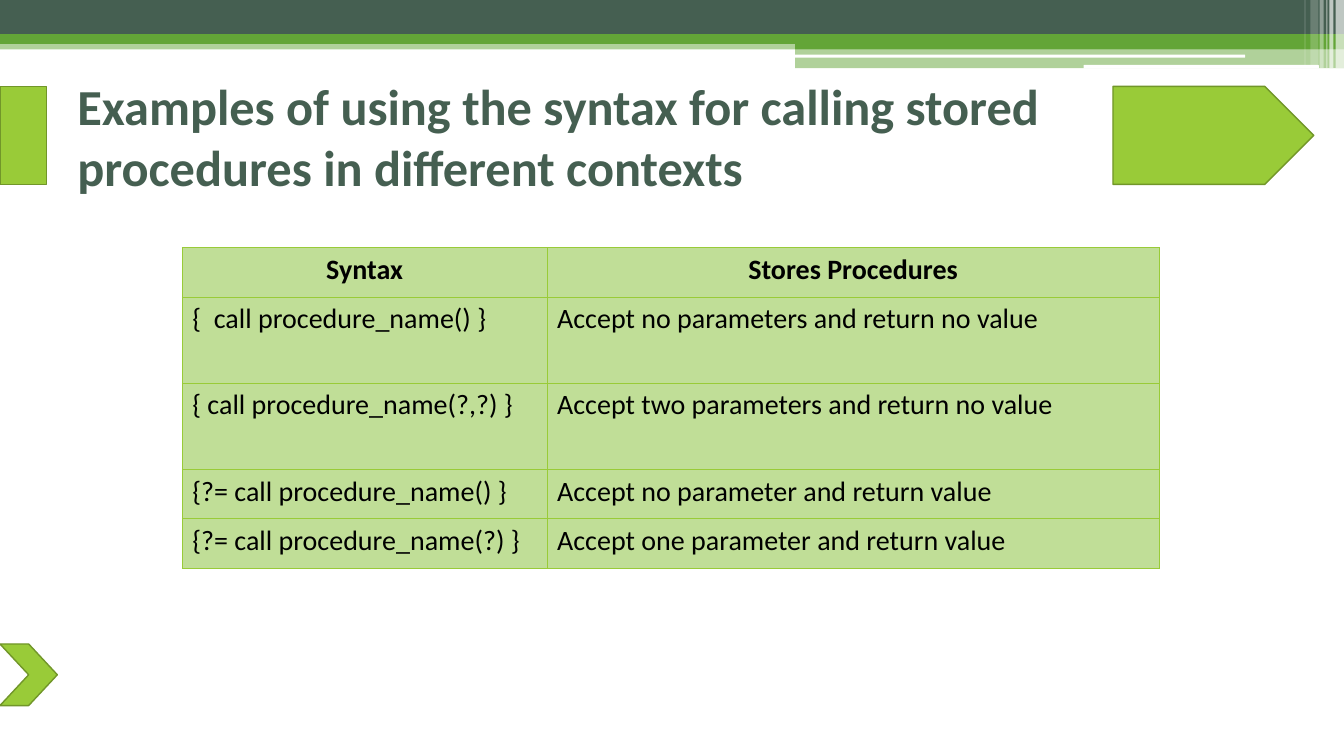
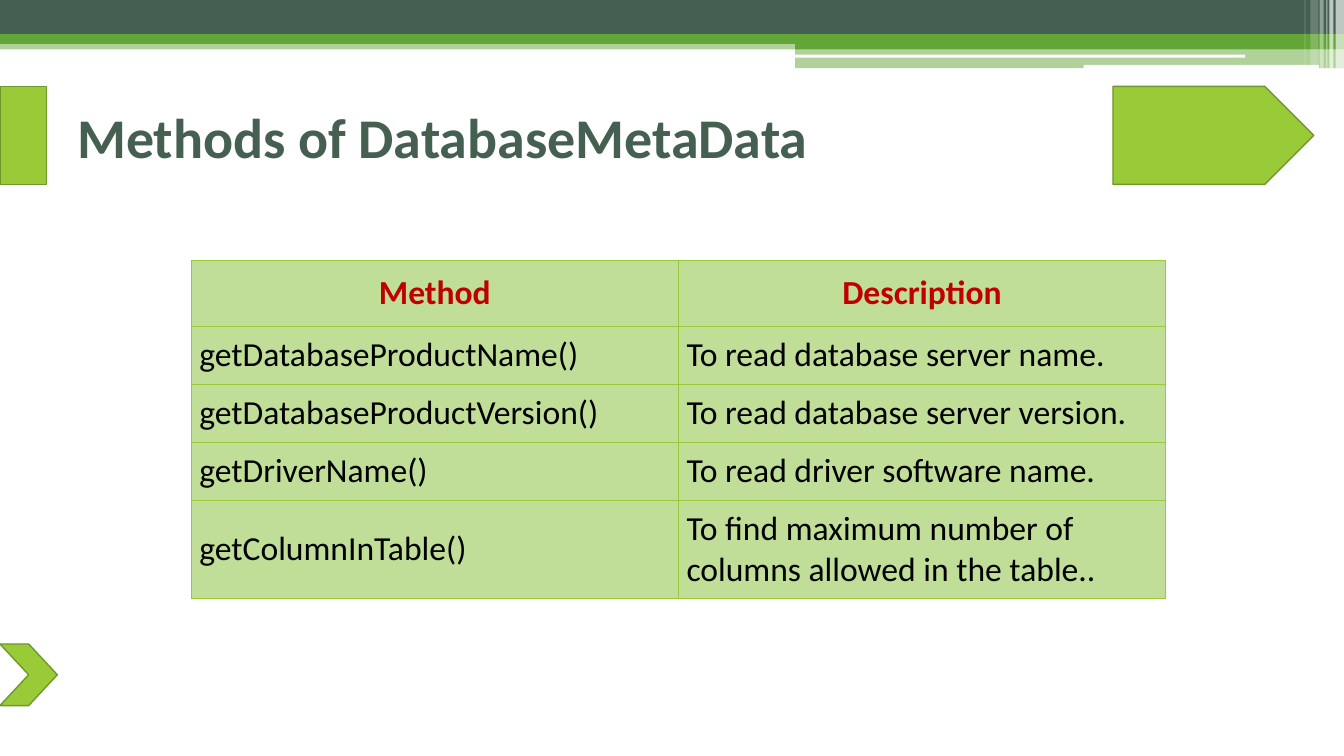
from dataclasses import dataclass

from lxml.etree import SubElement
from pptx import Presentation
from pptx.dml.color import RGBColor
from pptx.enum.shapes import MSO_SHAPE as Preset
from pptx.enum.text import MSO_ANCHOR as Anchor, MSO_AUTO_SIZE as AutoSize, PP_ALIGN as Align
from pptx.oxml.ns import qn
from pptx.util import Pt


@dataclass(frozen=True)
class Theme:
    font: str = "Calibri"
    dark: str = "455F51"
    green: str = "63A537"
    lime: str = "99CB38"
    lime_edge: str = "719629"
    cell: str = "C0DE97"
    white: str = "FFFFFF"
    ink: str = "000000"
    red: str = "C00000"
    edge_width: float = 1
    rule_width: float = 0.5
    title_box: tuple = (48, 55, 864, 84)


THEME = Theme()
PAGE_WIDTH, PAGE_HEIGHT = 960, 540

# Header bands: preset, box, colour, opacity in percent
BANDS = [
    (Preset.RECTANGLE, (0, 28.8, 960, 6.5), THEME.green, 50),
    (Preset.RECTANGLE, (0, 0, 960, 24.4), THEME.dark, 100),
    (Preset.RECTANGLE, (0, 24.4, 960, 7), THEME.green, 100),
    (Preset.RECTANGLE, (568, 28, 392, 7.3), THEME.green, 100),
    (Preset.RECTANGLE, (568, 35.3, 392, 13.4), THEME.green, 50),
    (Preset.ROUNDED_RECTANGLE, (567.4, 39, 322, 2.2), THEME.white, 100),
    (Preset.ROUNDED_RECTANGLE, (774, 46.4, 168, 2.7), THEME.white, 100),
]

# Pale stripes at the right end of the header: left, width, height, opacity
STRIPES = [
    (954, 6, 48.7, 65), (949.6, 2.8, 48.7, 65), (947.4, 0.7, 48.7, 60),
    (942.6, 2.8, 48.7, 40), (936, 5.8, 46.4, 20), (931.8, 0.7, 46.4, 30),
]

# Lime markers around the title and at the foot
MARKERS = [
    (Preset.RECTANGLE, (0, 61.7, 33.3, 70)),
    (Preset.PENTAGON, (795, 61.7, 143.5, 70)),
    (Preset.CHEVRON, (0, 460, 41, 44)),
]

PAGES = [
    {
        "title": "Examples of using the syntax for calling stored procedures in different contexts",
        "title_size": 36,
        "origin": (130.2, 176.8),
        "columns": (260.6, 437.2),
        "heights": (35.3, 61.6, 61.6, 35.3, 35.3),
        "size": 20,
        "header_color": THEME.ink,
        "anchor": Anchor.TOP,
        "side_inset": 7.2,
        "header_inset": 3.6,
        "body_inset": 3.6,
        "rows": [
            ("Syntax", "Stores Procedures"),
            ("{  call procedure_name() }", "Accept no parameters and return no value"),
            ("{ call procedure_name(?,?) }", "Accept two parameters and return no value"),
            ("{?= call procedure_name() }", "Accept no parameter and return value"),
            ("{?= call procedure_name(?) }", "Accept one parameter and return value"),
        ],
    },
    {
        "title": "Methods of DatabaseMetaData",
        "title_size": 40,
        "origin": (136.6, 186.2),
        "columns": (348, 348),
        "heights": (46.8, 41.4, 41.4, 41.4, 70),
        "size": 24,
        "header_color": THEME.red,
        "anchor": Anchor.MIDDLE,
        "side_inset": 5.8,
        "header_inset": 8.6,
        "body_inset": 5.8,
        "rows": [
            ("Method", "Description"),
            ("getDatabaseProductName()", "To read database server name."),
            ("getDatabaseProductVersion()", "To read database server version."),
            ("getDriverName()", "To read driver software name."),
            ("getColumnInTable()", "To find maximum number of columns allowed in the table.."),
        ],
    },
]


def apply_format(target, values):
    for name, value in values.items():
        setattr(target, name, value)


def place(shape, box):
    names = ("left", "top", "width", "height")
    apply_format(shape, dict(zip(names, map(Pt, box))))


def write(frame, text, size, color, bold, align):
    para = frame.paragraphs[0]
    para.alignment = align
    span = para.add_run()
    span.text = text
    apply_format(span.font, {"name": THEME.font, "size": Pt(size), "bold": bold})
    span.font.color.rgb = RGBColor.from_string(color)


def add_block(page, preset, box, color, opacity=100, edge=None):
    shape = page.shapes.add_shape(preset, *map(Pt, box))
    shape.shadow.inherit = False
    shape.fill.solid()
    shape.fill.fore_color.rgb = RGBColor.from_string(color)
    if opacity < 100:
        color_node = shape.element.spPr.find(qn("a:solidFill"))[0]
        SubElement(color_node, qn("a:alpha"), val=str(opacity * 1000))
    if edge:
        shape.line.color.rgb = RGBColor.from_string(edge)
        shape.line.width = Pt(THEME.edge_width)
    else:
        shape.line.fill.background()
    return shape


def build_layout(layout, page):
    """Draw the shared decoration on a page, then hand it to the layout."""
    shapes = [add_block(page, *band) for band in BANDS]
    shapes += [add_block(page, Preset.RECTANGLE, (left, 0, width, height), THEME.white, opacity)
               for left, width, height, opacity in STRIPES]
    shapes += [add_block(page, preset, box, THEME.lime, edge=THEME.lime_edge)
               for preset, box in MARKERS]
    for number, shape in enumerate(shapes, start=100):
        shape.element.nvSpPr.cNvPr.set("id", str(number))
        layout.shapes.element.append(shape.element)


def add_title(page, box, text, size):
    title = page.shapes.title
    place(title, box)
    apply_format(title.text_frame, {
        "word_wrap": True, "auto_size": AutoSize.NONE, "vertical_anchor": Anchor.MIDDLE})
    write(title.text_frame, text, size, THEME.dark, True, Align.LEFT)


def add_borders(cell):
    properties = cell._tc.get_or_add_tcPr()
    for side in ("lnL", "lnR", "lnT", "lnB"):
        line = SubElement(properties, qn(f"a:{side}"), w=str(Pt(THEME.rule_width)))
        fill = SubElement(line, qn("a:solidFill"))
        SubElement(fill, qn("a:srgbClr"), val=THEME.lime)


def format_cell(cell, text, content, is_header):
    side = Pt(content["side_inset"])
    inset = Pt(content["header_inset" if is_header else "body_inset"])
    apply_format(cell, {
        "margin_left": side, "margin_right": side, "margin_top": inset,
        "margin_bottom": inset, "vertical_anchor": content["anchor"]})
    add_borders(cell)
    cell.fill.solid()
    cell.fill.fore_color.rgb = RGBColor.from_string(THEME.cell)
    write(cell.text_frame, text, content["size"],
          content["header_color"] if is_header else THEME.ink,
          is_header, Align.CENTER if is_header else Align.LEFT)


def add_grid(page, content):
    rows, columns, heights = content["rows"], content["columns"], content["heights"]
    box = (*content["origin"], sum(columns), sum(heights))
    table = page.shapes.add_table(len(rows), len(columns), *map(Pt, box)).table
    table.horz_banding = False
    for column, width in zip(table.columns, columns):
        column.width = Pt(width)
    for index, (row, height) in enumerate(zip(table.rows, heights)):
        row.height = Pt(height)
        for cell, text in zip(row.cells, rows[index]):
            format_cell(cell, text, content, index == 0)


def build_page(page, content):
    add_title(page, THEME.title_box, content["title"], content["title_size"])
    add_grid(page, content)


def main():
    deck = Presentation()
    apply_format(deck, {"slide_width": Pt(PAGE_WIDTH), "slide_height": Pt(PAGE_HEIGHT)})
    layout = deck.slide_layouts.get_by_name("Title Only")
    pages = [deck.slides.add_slide(layout) for _ in PAGES]
    build_layout(layout, pages[0])
    for page, content in zip(pages, PAGES):
        build_page(page, content)
    deck.save("out.pptx")


if __name__ == "__main__":
    main()
